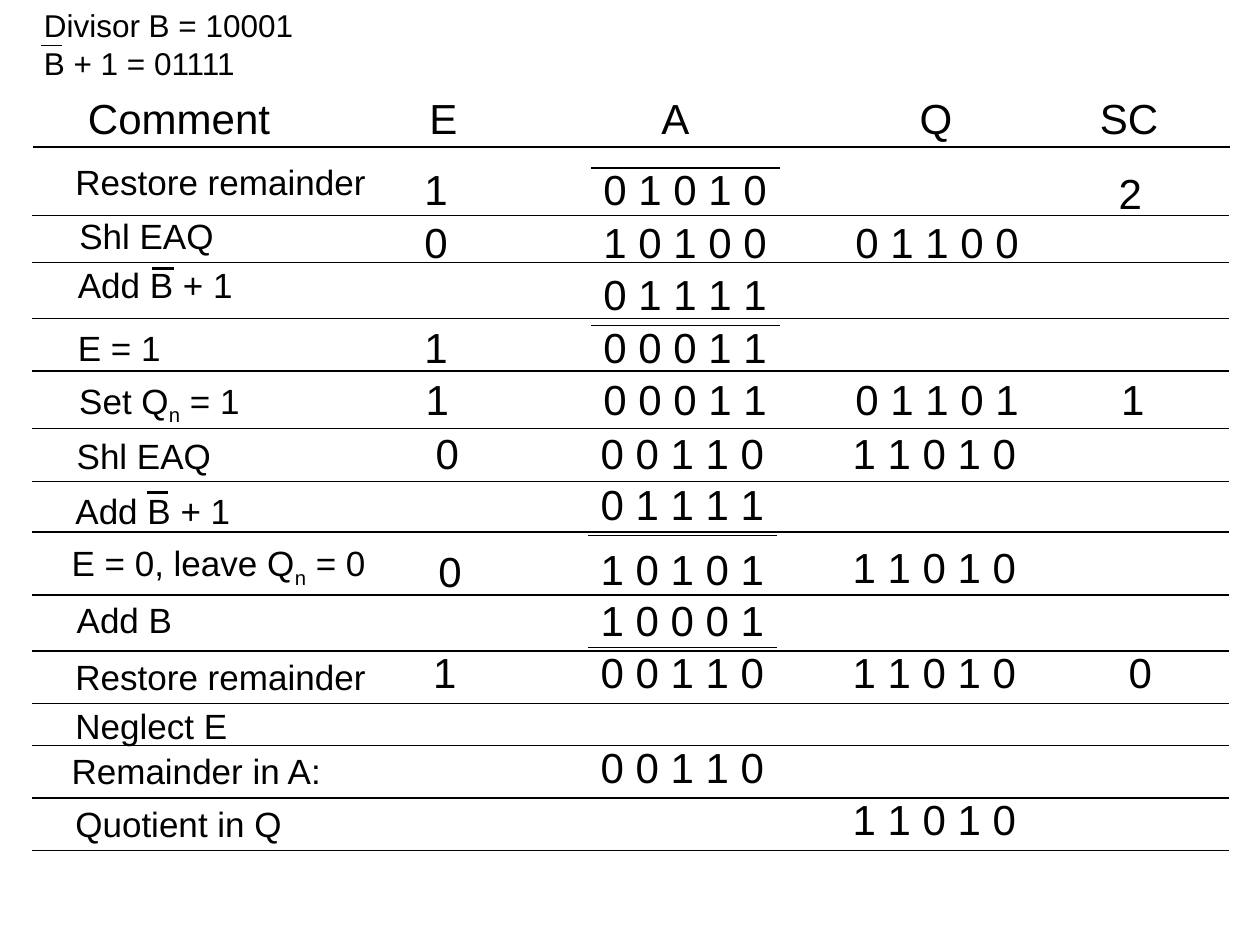
from lxml.etree import SubElement
from pptx import Presentation
from pptx.dml.color import RGBColor
from pptx.enum.shapes import MSO_CONNECTOR
from pptx.enum.text import MSO_AUTO_SIZE
from pptx.oxml.ns import qn
from pptx.util import Pt

COLORS = {"ink": "000000", "paper": "FFFFFF"}
INK = RGBColor.from_string(COLORS["ink"])
SLACK = 1  # spare width that keeps each line whole

deck = Presentation()
deck.slide_width, deck.slide_height = Pt(720), Pt(540)
slide = deck.slides.add_slide(deck.slide_layouts[6])
slide.background.fill.solid()
slide.background.fill.fore_color.rgb = RGBColor.from_string(COLORS["paper"])


def write(host, lines, x, y, wide, high, size):
    """Add a text box; a "_" in a line starts and ends a subscript."""
    box = host.add_textbox(Pt(x), Pt(y), Pt(wide + SLACK), Pt(high))
    frame = box.text_frame
    frame.word_wrap = False
    frame.auto_size = MSO_AUTO_SIZE.SHAPE_TO_FIT_TEXT
    for i, line in enumerate(lines):
        para = frame.add_paragraph() if i else frame.paragraphs[0]
        for j, part in enumerate(line.split("_")):
            run = para.add_run()
            run.text = part
            run.font.name = "Arial"
            run.font.size = Pt(size)
            run.font.color.rgb = INK
            if j % 2:
                run.font._element.set("baseline", "-25000")


def rule(host, left, right, y, weight=0.75):
    """Add a level line without a shadow."""
    line = host.add_connector(
        MSO_CONNECTOR.STRAIGHT, Pt(left), Pt(y), Pt(right), Pt(y))
    line.line.color.rgb = INK
    line.line.width = Pt(weight)
    SubElement(line._element.spPr, qn("a:effectLst"))


shapes = slide.shapes

# Divisor and its complement
group = shapes.add_group_shape().shapes
write(group, ["Divisor B = 10001", "B + 1 = 01111"], 18, 0, 157, 50.4, 18)
rule(group, 23.3, 35.2, 26)

# Column heads
heads = [("Comment", 43.2, 118), ("E", 238.3, 30.2), ("A", 370.8, 30.2),
         ("Q", 518.4, 33.1), ("SC", 621.4, 47.5)]
for text, x, wide in heads:
    write(shapes, [text], x, 49.5, wide, 36, 24)
rule(shapes, 18.7, 702.7, 84)

# Comments: text, left, top, width
notes = [
    ("Restore remainder", 36, 88, 180),
    ("Shl EAQ", 38.2, 118.8, 90.7),
    ("Add B + 1", 37.4, 146.9, 103),
    ("E = 1", 37.4, 182.9, 61.9),
    ("Set Q_n_ = 1", 38.2, 213.1, 105.8),
    ("Shl EAQ", 36.7, 244.8, 90.7),
    ("Add B + 1", 36, 276, 103),
    ("E = 0, leave Q_n_ = 0", 33.8, 306, 182.2),
    ("Add B", 36.7, 338.4, 69.1),
    ("Restore remainder", 36, 370.8, 180),
    ("Neglect E", 36, 398.9, 100.8),
    ("Remainder in A:", 33.8, 425, 157.7),
    ("Quotient in Q", 36, 455, 132.5),
]
for text, x, y, wide in notes:
    write(shapes, [text], x, y, wide, 34.6 if "_" in text else 31.7, 20)

# Bars over B in the comments
rule(shapes, 87.1, 99.4, 153.4, 1.5)
rule(shapes, 84.2, 95.8, 281.5, 1.5)

# Registers A and Q: the lower half sits slightly further left
halves = [
    (337.7,
     [("0 1 0 1 0", 90), ("1 0 1 0 0", 120), ("0 1 1 1 1", 150),
      ("0 0 0 1 1", 180), ("0 0 0 1 1", 210)],
     [("0 1 1 0 0", 120), ("0 1 1 0 1", 210)],
     [96, 186]),
    (336.2,
     [("0 0 1 1 0", 241), ("0 1 1 1 1", 270), ("1 0 1 0 1", 307),
      ("1 0 0 0 1", 336), ("0 0 1 1 0", 366), ("0 0 1 1 0", 420)],
     [("1 1 0 1 0", 241), ("1 1 0 1 0", 306), ("1 1 0 1 0", 366),
      ("1 1 0 1 0", 450)],
     [306, 370]),
]
for left, sums, quots, bars in halves:
    for x, cells in ((left, sums), (left + 144, quots)):
        for bits, y in cells:
            write(shapes, [bits], x, y, 107.3, 36, 24)
    for y in bars:
        rule(shapes, left, left + 108, y)

# Single digits of E and SC
digits = [
    ("1", 235.4, 90), ("0", 235.4, 120), ("1", 235.4, 180), ("1", 236.2, 210),
    ("0", 241.9, 241), ("0", 243.4, 308.2), ("1", 240.5, 366),
    ("2", 632.2, 92.2), ("1", 633.6, 210), ("0", 637.9, 366),
]
for text, x, y in digits:
    write(shapes, [text], x, y, 27.4, 36, 24)

# Row lines
for y in (123, 150, 182, 212, 245, 275, 304, 340, 372, 402, 426, 456, 486):
    rule(shapes, 18, 702, y)

deck.save("out.pptx")
